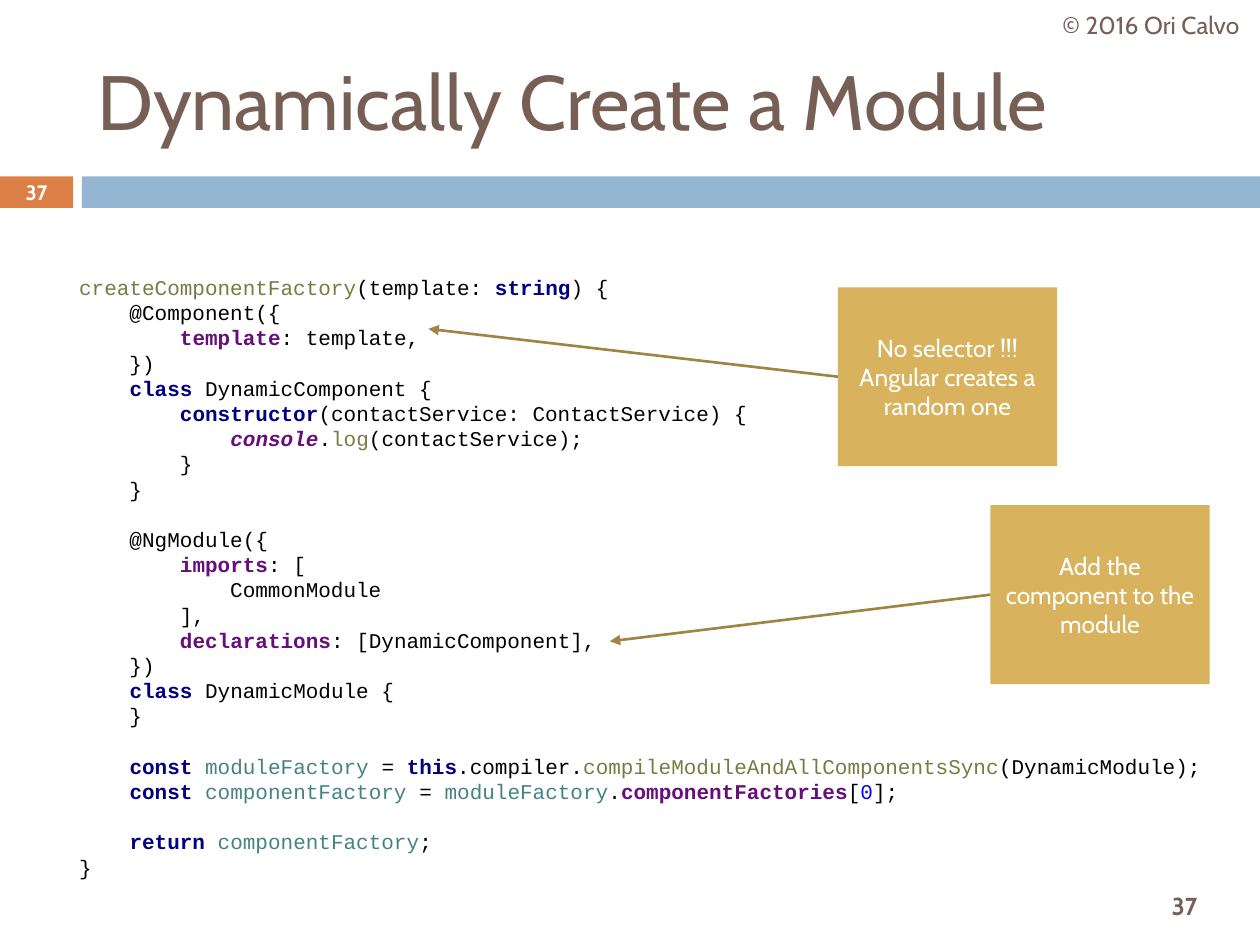
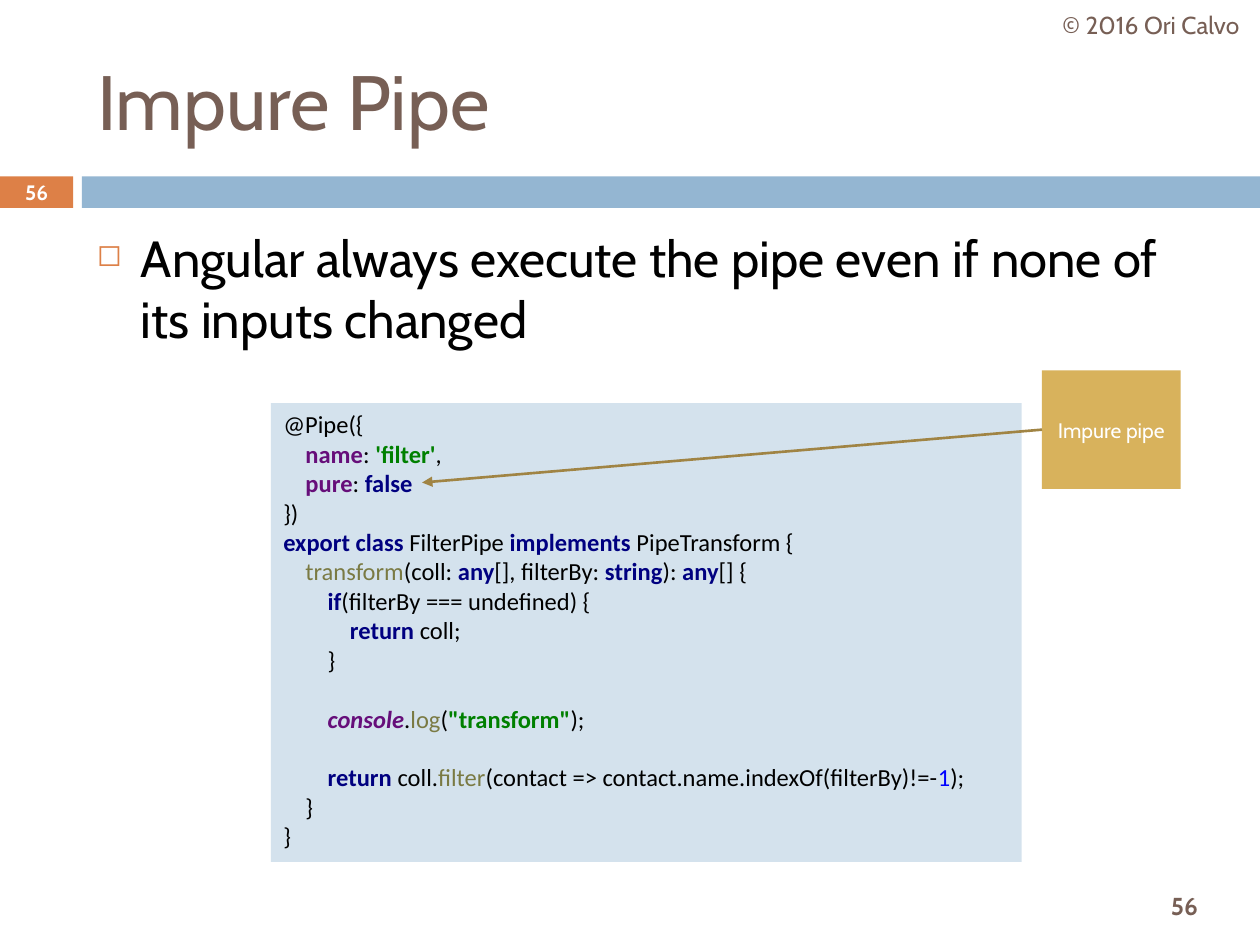
"""Builds two slides on dynamic modules and impure pipes."""
import pptx
import pptx.util
import pptx.dml.color
import pptx.enum.shapes
import pptx.enum.text
import pptx.oxml

Pt = pptx.util.Pt
RGB = pptx.dml.color.RGBColor.from_string
RECT = pptx.enum.shapes.MSO_SHAPE.RECTANGLE
LINE = pptx.enum.shapes.MSO_CONNECTOR.STRAIGHT
ANCHOR = pptx.enum.text.MSO_ANCHOR
ALIGN = pptx.enum.text.PP_ALIGN
NS = 'xmlns:a="http://schemas.openxmlformats.org/drawingml/2006/main"'

HUES = {
    "brown": "775F55", "orange": "DD8047", "blue": "94B6D2", "pale": "D4E2ED",
    "gold": "D8B25C", "bronze": "A08444", "white": "FFFFFF", "black": "000000",
    "navy": "000080", "olive": "7A7A43", "purple": "660E7A", "teal": "458383",
    "green": "008000", "number": "0000FF",
}

MID = {"alignment": ALIGN.CENTER}
LEFT = {"alignment": ALIGN.LEFT}
LOOKS = {
    "title": ("brown", {"name": "Cabin", "size": Pt(44)}, LEFT, ANCHOR.MIDDLE),
    "credit": ("brown", {"name": "Cabin", "size": Pt(14)}, MID, ANCHOR.MIDDLE),
    "page": ("brown", {"name": "Cabin", "size": Pt(14), "bold": True}, MID, ANCHOR.MIDDLE),
    "tag": ("white", {"name": "Cabin", "size": Pt(11.9), "bold": True}, MID, ANCHOR.MIDDLE),
    "note": ("white", {"name": "Cabin", "size": Pt(14)}, MID, ANCHOR.MIDDLE),
    "small": ("white", {"name": "Cabin", "size": Pt(12)}, MID, ANCHOR.MIDDLE),
    "body": ("black", {"name": "Cabin", "size": Pt(29)}, LEFT, ANCHOR.TOP),
    "mono": ("black", {"name": "Courier New", "size": Pt(12)},
             {**LEFT, "line_spacing": Pt(14.4)}, ANCHOR.TOP),
    "code": ("black", {"name": "Calibri", "size": Pt(14)},
             {**LEFT, "line_spacing": Pt(16.8)}, ANCHOR.TOP),
}
MARKS = {
    "k": ("navy", {"bold": True}),
    "f": ("olive", {}),
    "p": ("purple", {"bold": True}),
    "g": ("purple", {"bold": True, "italic": True}),
    "v": ("teal", {}),
    "s": ("green", {"bold": True}),
    "n": ("number", {}),
}

MODULE = """~fcreateComponentFactory~(template: ~kstring~) {
    @Component({
        ~ptemplate~: template,
    })
    ~kclass ~DynamicComponent {
        ~kconstructor~(contactService: ContactService) {
            ~gconsole~.~flog~(contactService);
        }
    }

    @NgModule({
        ~pimports~: [
            CommonModule
        ],
        ~pdeclarations~: [DynamicComponent],
    })
    ~kclass ~DynamicModule {
    }

    ~kconst ~~vmoduleFactory ~= ~kthis~.compiler.~fcompileModuleAndAllComponentsSync~(DynamicModule);
    ~kconst ~~vcomponentFactory ~= ~vmoduleFactory~.~pcomponentFactories~[~n0~];

    ~kreturn ~~vcomponentFactory~;
}"""

PIPE = """@Pipe({
    ~pname~: ~s'filter'~,
    ~ppure~: ~kfalse~
})
~kexport class ~FilterPipe ~kimplements ~PipeTransform {
    ~ftransform~(coll: ~kany~[], filterBy: ~kstring~): ~kany~[] {
        ~kif~(filterBy === undefined) {
            ~kreturn ~coll;
        }

        ~gconsole~.~flog~(~s"transform"~);

        ~kreturn ~coll.~ffilter~(contact => contact.name.indexOf(filterBy)!=-~n1~);
    }
}"""

PAGES = [
    {
        "title": "Dynamically Create a Module", "page": "37",
        "code": ((38.16, 153.36, 664.56, 356.4), None, "mono", MODULE),
        "notes": [
            ((478.8, 164.16, 125.28, 102.24), "note",
             ["No selector !!!", "Angular creates a random one"], (244.8, 187.92)),
            ((565.92, 288.72, 125.28, 102.24), "note",
             ["Add the component to the module"], (348.48, 366.48)),
        ],
    },
    {
        "title": "Impure Pipe", "page": "56",
        "body": "Angular always execute the pipe even if none of its inputs changed",
        "code": ((154.8, 230.4, 429.12, 262.08), "pale", "code", PIPE),
        "notes": [
            ((595.44, 211.68, 79.2, 67.68), "small", ["Impure pipe"], (241.2, 275.76)),
        ],
    },
]


def write(frame, look, *paras):
    hue, face, form, anchor = LOOKS[look]
    frame.word_wrap = True
    frame.auto_size = pptx.enum.text.MSO_AUTO_SIZE.NONE
    frame.vertical_anchor = anchor
    for i, text in enumerate(paras):
        para = frame.add_paragraph() if i else frame.paragraphs[0]
        for key, value in form.items():
            setattr(para, key, value)
        for row, line in enumerate(text.split("\n")):
            if row:
                para.add_line_break()
            for n, part in enumerate(line.split("~")):
                if not part:
                    continue
                tint, extra = MARKS[part[0]] if n % 2 else (hue, {})
                run = para.add_run()
                run.text = part[n % 2:]
                run.font.color.rgb = RGB(HUES[tint])
                for key, value in {**face, **extra}.items():
                    setattr(run.font, key, value)


def place(slide, at, fill=None, look=None, *paras):
    spot = [Pt(n) for n in at]
    if fill:
        shape = slide.shapes.add_shape(RECT, *spot)
        shape.shadow.inherit = False
        shape.fill.solid()
        shape.fill.fore_color.rgb = RGB(HUES[fill])
        shape.line.fill.background()
    else:
        shape = slide.shapes.add_textbox(*spot)
    if look:
        write(shape.text_frame, look, *paras)
    return shape


deck = pptx.Presentation()
deck.slide_width, deck.slide_height = Pt(720), Pt(540)

for page in PAGES:
    slide = deck.slides.add_slide(deck.slide_layouts[5])
    place(slide, (0, 100.8, 41.76, 18), "orange")
    place(slide, (46.8, 100.8, 673.2, 18), "blue")
    place(slide, (643.68, 502.56, 66.24, 30.24), None, "page", page["page"])
    place(slide, (595.44, 0, 124.56, 28.8), None, "credit", "© 2016 Ori Calvo")
    place(slide, (0, 100.08, 41.76, 19.44), None, "tag", page["page"])

    title = slide.shapes.title
    spot = {"left": 48.24, "top": 18, "width": 642.24, "height": 77.76}
    for key, value in spot.items():
        setattr(title, key, Pt(value))
    write(title.text_frame, "title", page["title"])

    if "body" in page:
        body = place(slide, (48.24, 126, 642.24, 354.24), None, "body", page["body"])
        props = body.text_frame.paragraphs[0]._p.get_or_add_pPr()
        props.set("marL", str(Pt(25.2)))
        props.set("indent", str(Pt(-25.2)))
        for item in (
            f'<a:buClr {NS}><a:srgbClr val="{HUES["orange"]}"/></a:buClr>',
            f'<a:buSzPct {NS} val="60000"/>',
            f'<a:buChar {NS} char="◻"/>',
        ):
            props.append(pptx.oxml.parse_xml(item))

    place(slide, *page["code"])
    for at, look, paras, tip in page["notes"]:
        note = place(slide, at, "gold", look, *paras)
        end = [Pt(n) for n in tip]
        arrow = slide.shapes.add_connector(LINE, note.left, note.top, *end)
        arrow.begin_connect(note, 1)
        arrow.line.color.rgb = RGB(HUES["bronze"])
        arrow.line.width = Pt(1.5)
        head = pptx.oxml.parse_xml(f'<a:tailEnd {NS} type="triangle"/>')
        arrow.line._get_or_add_ln().append(head)
        arrow._element.spPr.append(pptx.oxml.parse_xml(f"<a:effectLst {NS}/>"))

deck.save("out.pptx")
